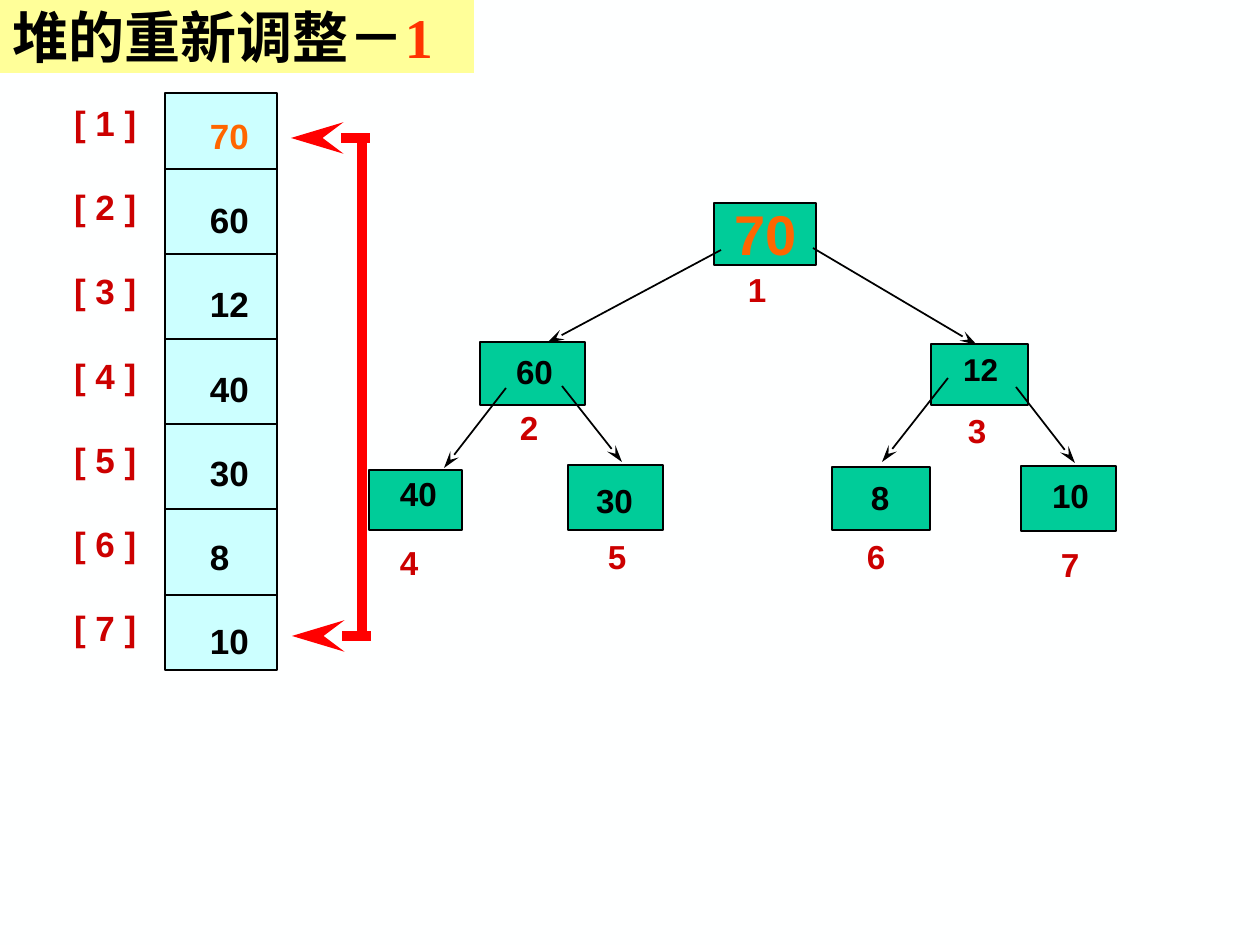
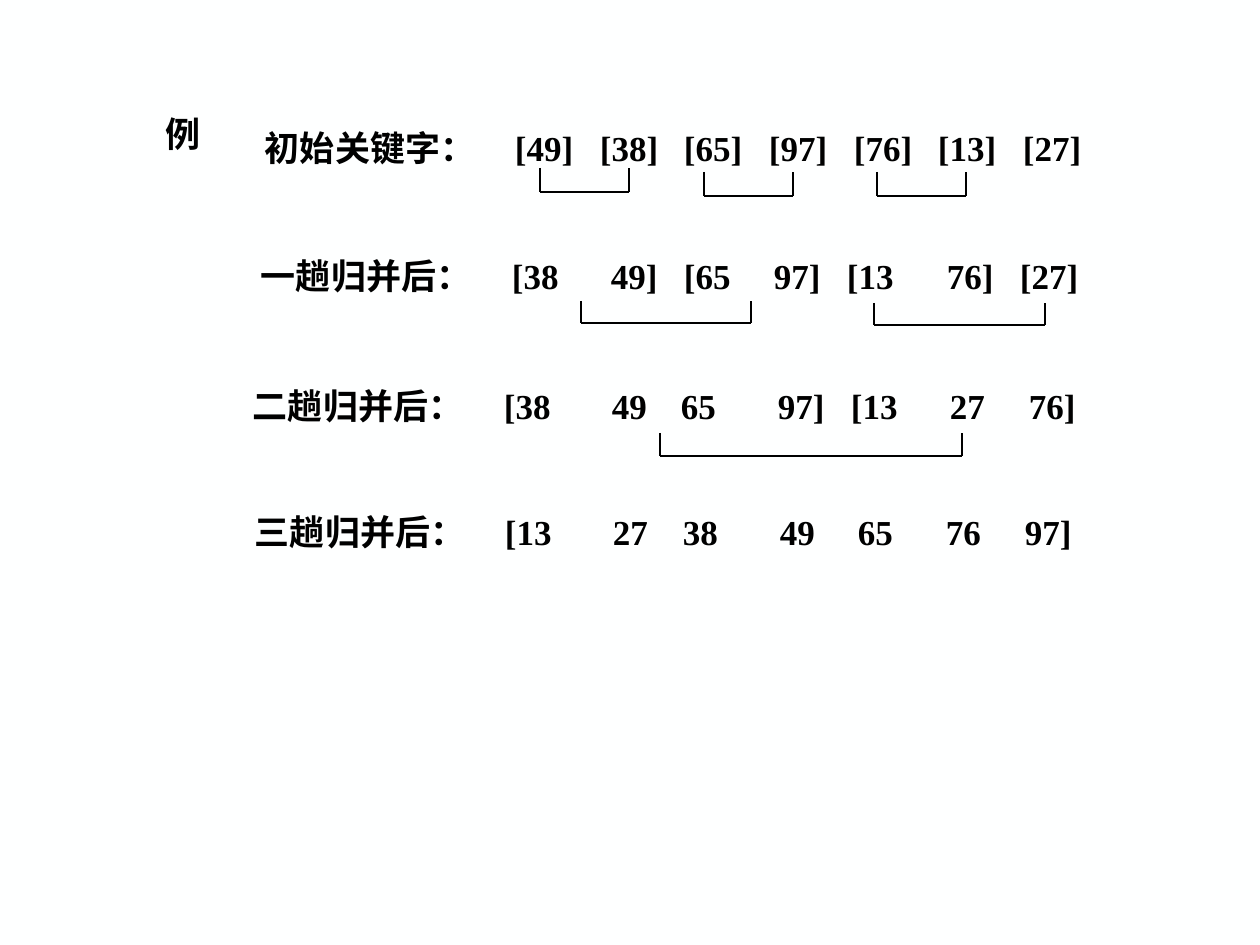
from dataclasses import dataclass
from typing import NamedTuple, Sequence

from lxml.etree import SubElement
from pptx import Presentation
from pptx.dml.color import RGBColor
from pptx.enum.lang import MSO_LANGUAGE_ID
from pptx.enum.shapes import MSO_CONNECTOR, MSO_SHAPE
from pptx.enum.text import MSO_ANCHOR, PP_ALIGN
from pptx.oxml.ns import qn
from pptx.util import Emu, Pt

PX_PER_INCH = 126


def px(n: int) -> Emu:
    return Emu(round(n * 914400 / PX_PER_INCH))


@dataclass(frozen=True)
class Theme:
    page: str = "FEFFFF"
    ink: str = "000000"
    title_band: str = "FFFF99"
    title_mark: str = "FF3300"
    node: str = "00CC99"
    cell: str = "CCFFFF"
    index: str = "CC0000"
    moved: str = "FF6600"
    swap: str = "FF0000"
    sans: str = "Arial"
    serif: str = "Times New Roman"
    title_size: int = 32
    body_size: int = 20
    node_size: int = 19
    small_size: int = 18
    column_gap: int = 24
    thin: float = 0.75
    line: float = 1
    thick: float = 6


T = Theme()


class Run(NamedTuple):
    text: str
    size: int = T.node_size
    color: str = T.ink
    font: str = T.sans


class Point(NamedTuple):
    x: int
    y: int


class Box(NamedTuple):
    x: int
    y: int
    w: int
    h: int


class Node(NamedTuple):
    box: Box
    value: Run
    value_at: Point   # left edge and middle of the text
    index_at: Point


class Edge(NamedTuple):
    start: Point
    end: Point


class Pass(NamedTuple):
    label: str
    at: Point
    keys: Sequence[str]
    stops: Sequence[int]


class Bracket(NamedTuple):
    left: int
    right: int
    top: int
    bottom: int


# Drawing helpers
def rgb(color: str) -> RGBColor:
    return RGBColor.from_string(color)


def add_runs(p, runs: Sequence[Run]) -> None:
    for run in runs:
        r = p.add_run()
        r.text = run.text
        f = r.font
        f.name, f.size, f.bold = run.font, Pt(run.size), True
        f.color.rgb = rgb(run.color)
        f.language_id = MSO_LANGUAGE_ID.SIMPLIFIED_CHINESE


def add_tabs(p, stops: Sequence[int]) -> None:
    tabs = SubElement(p._p.get_or_add_pPr(), qn("a:tabLst"))
    for stop in stops:
        SubElement(tabs, qn("a:tab"), pos=str(px(stop)), algn="l")


def add_text(s, at: Point, w: int, h: int, lines: Sequence[Sequence[Run]],
             gap: int = 0, stops: Sequence[int] = ()) -> None:
    """Text whose left edge and vertical middle lie at the given point."""
    tf = s.shapes.add_textbox(px(at.x), px(at.y - h // 2), px(w), px(h)).text_frame
    tf.word_wrap = True
    tf.vertical_anchor = MSO_ANCHOR.MIDDLE
    tf.margin_left = tf.margin_right = tf.margin_top = tf.margin_bottom = 0
    for i, runs in enumerate(lines):
        p = tf.add_paragraph() if i else tf.paragraphs[0]
        if i:
            p.space_before = Pt(gap)
        if stops:
            add_tabs(p, stops)
        add_runs(p, runs)


def add_rect(s, box: Box, fill: str, outlined: bool = True):
    sp = s.shapes.add_shape(MSO_SHAPE.RECTANGLE, *map(px, box))
    sp.shadow.inherit = False
    sp.fill.solid()
    sp.fill.fore_color.rgb = rgb(fill)
    if outlined:
        sp.line.color.rgb = rgb(T.ink)
        sp.line.width = Pt(T.line)
    else:
        sp.line.fill.background()
    return sp


def add_line(s, edge: Edge, color: str = T.ink, width: float = T.line,
             arrow: bool = False) -> None:
    c = s.shapes.add_connector(MSO_CONNECTOR.STRAIGHT, *map(px, edge.start + edge.end))
    c.line.color.rgb = rgb(color)
    c.line.width = Pt(width)
    if arrow:
        SubElement(c.line._get_or_add_ln(), qn("a:tailEnd"), type="stealth",
                   w="med", len="lg")
    SubElement(c._element.spPr, qn("a:effectLst"))


def add_bracket(s, b: Bracket) -> None:
    corners = [Point(b.left, b.top), Point(b.left, b.bottom),
               Point(b.right, b.bottom), Point(b.right, b.top)]
    for start, end in zip(corners, corners[1:]):
        add_line(s, Edge(start, end), width=T.thin)


def add_title(s, text: str, mark: str) -> None:
    tf = add_rect(s, Box(0, 0, 474, 73), T.title_band, outlined=False).text_frame
    tf.vertical_anchor = MSO_ANCHOR.MIDDLE
    tf.word_wrap = True
    p = tf.paragraphs[0]
    p.alignment = PP_ALIGN.LEFT
    add_runs(p, [Run(text, T.title_size, T.ink, T.serif),
                 Run(mark, T.title_size, T.title_mark, T.serif)])


def add_slide(prs):
    s = prs.slides.add_slide(prs.slide_layouts[6])
    s.background.fill.solid()
    s.background.fill.fore_color.rgb = rgb(T.page)
    return s


# Heap content, in array order
NODES = [
    Node(Box(714, 203, 102, 62), Run("70", T.title_size, T.moved),
         Point(734, 233), Point(748, 289)),
    Node(Box(480, 342, 105, 63), Run("60"), Point(516, 371), Point(520, 427)),
    Node(Box(931, 344, 97, 61), Run("12", T.small_size), Point(963, 369), Point(968, 430)),
    Node(Box(369, 470, 93, 60), Run("40"), Point(400, 493), Point(400, 562)),
    Node(Box(568, 465, 95, 65), Run("30"), Point(596, 500), Point(608, 556)),
    Node(Box(832, 467, 98, 63), Run("8"), Point(871, 497), Point(867, 556)),
    Node(Box(1021, 466, 95, 65), Run("10"), Point(1052, 495), Point(1061, 564)),
]
EDGES = [
    Edge(Point(721, 250), Point(547, 343)),
    Edge(Point(813, 248), Point(977, 345)),
    Edge(Point(506, 388), Point(444, 468)),
    Edge(Point(562, 386), Point(622, 462)),
    Edge(Point(948, 378), Point(882, 462)),
    Edge(Point(1016, 387), Point(1075, 463)),
]

# Merge sort content
PASSES = [
    Pass("初始关键字：", Point(265, 147),
         ["[49]", "[38]", "[65]", "[97]", "[76]", "[13]", "[27]"],
         [515, 600, 684, 769, 854, 938, 1023]),
    Pass("一趟归并后：", Point(261, 276),
         ["[38", "49]", "[65", "97]", "[13", "76]", "[27]"],
         [512, 611, 684, 774, 847, 947, 1020]),
    Pass("二趟归并后：", Point(253, 405),
         ["[38", "49", "65", "97]", "[13", "27", "76]"],
         [504, 612, 681, 778, 851, 950, 1029]),
    Pass("三趟归并后：", Point(255, 531),
         ["[13", "27", "38", "49", "65", "76", "97]"],
         [505, 613, 683, 780, 858, 946, 1025]),
]
BRACKETS = [
    Bracket(540, 629, 168, 192), Bracket(704, 793, 172, 196), Bracket(877, 966, 172, 196),
    Bracket(581, 751, 301, 323), Bracket(874, 1045, 303, 325),
    Bracket(660, 962, 433, 456),
]


def heap_slide(prs) -> None:
    s = add_slide(prs)

    # Tree
    for node in NODES:
        add_rect(s, node.box, T.node)
    for edge in EDGES:
        add_line(s, edge, arrow=True)
    for i, node in enumerate(NODES, 1):
        add_text(s, node.value_at, 80, 60, [[node.value]])
        add_text(s, node.index_at, 40, 40, [[Run(str(i), color=T.index)]])

    # Array with its index column
    add_rect(s, Box(165, 93, 112, 577), T.cell)
    for i in range(len(NODES) - 1):
        y = 169 + i * 426 // 5
        add_line(s, Edge(Point(164, y), Point(277, y)))
    indexes = [[Run(f"[ {i} ]", T.body_size, T.index)] for i in range(1, len(NODES) + 1)]
    values = [[Run(n.value.text, T.body_size, n.value.color)] for n in NODES]
    add_text(s, Point(74, 375), 80, 550, indexes, T.column_gap)
    add_text(s, Point(210, 388), 60, 550, values, T.column_gap)

    # Swap of first and last entries
    add_line(s, Edge(Point(362, 142), Point(362, 635)), T.swap, T.thick)
    for tip in (Point(291, 138), Point(292, 636)):
        add_line(s, Edge(Point(tip.x + 79, tip.y), tip), T.swap, T.thick, arrow=True)

    add_title(s, "堆的重新调整－", "1")


def merge_slide(prs) -> None:
    s = add_slide(prs)
    add_text(s, Point(166, 133), 50, 44, [[Run("例", T.body_size, T.ink, T.serif)]])
    for row in PASSES:
        line = "\t".join([row.label, *row.keys])
        add_text(s, row.at, 843, 44, [[Run(line, T.body_size, T.ink, T.serif)]],
                 stops=[x - row.at.x for x in row.stops])
    for bracket in BRACKETS:
        add_bracket(s, bracket)


def main() -> None:
    prs = Presentation()
    prs.slide_width, prs.slide_height = px(1260), px(945)
    heap_slide(prs)
    merge_slide(prs)
    prs.save("out.pptx")


if __name__ == "__main__":
    main()
